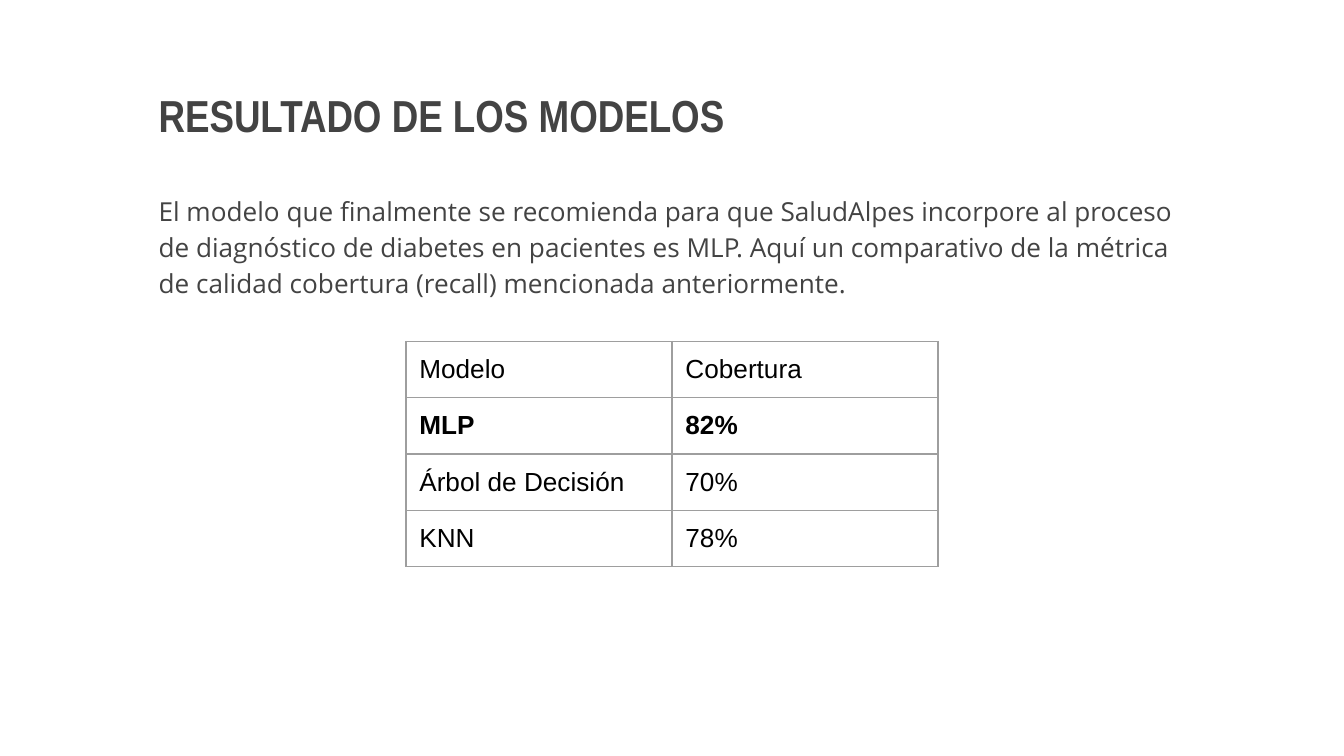
from lxml import etree
from pptx import Presentation
from pptx import util as u
from pptx.dml.color import RGBColor
from pptx.enum import text
from pptx.oxml import ns

WIDTH = 10
HEIGHT = WIDTH * 9 / 16
MARGIN = u.Inches(0.1)
DARK_GRAY = RGBColor(0x43, 0x43, 0x43)
BLACK = RGBColor(0, 0, 0)
BORDER_GRAY = RGBColor(0x9E, 0x9E, 0x9E)

TITLE = "RESULTADO DE LOS MODELOS"
SUMMARY = (
    "El modelo que finalmente se recomienda para que SaludAlpes incorpore al proceso "
    "de diagnóstico de diabetes en pacientes es MLP. Aquí un comparativo de la métrica "
    "de calidad cobertura (recall) mencionada anteriormente."
)
RESULTS = [
    ("Modelo", "Cobertura"),
    ("MLP", "82%"),
    ("Árbol de Decisión", "70%"),
    ("KNN", "78%"),
]
BEST_MODEL = "MLP"


class SlideBuilder:
    """Holds the style and the current slide; lengths are shares of the slide."""

    def __init__(self, deck):
        self.deck = deck
        self.page = deck.slides.add_slide(deck.slide_layouts[1])

    def across(self, share):
        return round(self.deck.slide_width * share)

    def down(self, share):
        return round(self.deck.slide_height * share)

    def style(self, para, font_name, size, color, bold=False):
        para.alignment = text.PP_ALIGN.LEFT
        font = para.font
        font.name, font.size, font.bold = font_name, u.Pt(size), bold
        font.color.rgb = color

    def fill_placeholder(self, box, content, top, height, anchor):
        box.left, box.width = self.across(1.08 / WIDTH), self.across(7.83 / WIDTH)
        box.top, box.height = self.down(top), self.down(height)
        frame = box.text_frame
        frame.text = content
        frame.word_wrap = True
        frame.auto_size = text.MSO_AUTO_SIZE.NONE
        frame.vertical_anchor = anchor
        frame.margin_left = frame.margin_right = MARGIN
        frame.margin_top = frame.margin_bottom = MARGIN
        return frame.paragraphs[0]

    def title(self, content):
        para = self.fill_placeholder(
            self.page.shapes.title, content, 0.59 / HEIGHT, 0.52 / HEIGHT,
            text.MSO_ANCHOR.MIDDLE)
        self.style(para, "Arial Narrow", 24, DARK_GRAY, bold=True)

    def body(self, content):
        para = self.fill_placeholder(
            self.page.placeholders[1], content, 1.32 / HEIGHT, 3.94 / HEIGHT,
            text.MSO_ANCHOR.TOP)
        self.style(para, "Open Sans", 14, DARK_GRAY)
        para.line_spacing = 1.15
        para.space_before = u.Pt(0)
        properties = para._p.get_or_add_pPr()
        properties.set("marL", "0")
        properties.set("indent", "0")
        etree.SubElement(properties, ns.qn("a:buNone"))

    def table(self, rows, left, top, column_width, row_height, bold_key):
        frame = self.page.shapes.add_table(
            len(rows), len(rows[0]), self.across(left), self.down(top),
            self.across(column_width * len(rows[0])), self.down(row_height * len(rows)))
        grid = frame.table
        grid.first_row = grid.horz_banding = False
        for row, values in enumerate(rows):
            for column, value in enumerate(values):
                self.cell(grid.cell(row, column), value, values[0] == bold_key)

    def cell(self, cell, value, bold):
        cell.text = value
        cell.margin_left = cell.margin_right = MARGIN
        cell.margin_top = cell.margin_bottom = MARGIN
        self.style(cell.text_frame.paragraphs[0], "Arial", 14, BLACK, bold)
        self.borders(cell)
        cell.fill.background()

    def borders(self, cell):
        properties = cell._tc.get_or_add_tcPr()
        for side in ("lnL", "lnR", "lnT", "lnB"):
            line = etree.SubElement(properties, ns.qn(f"a:{side}"), w=str(u.Pt(0.75)))
            fill = etree.SubElement(line, ns.qn("a:solidFill"))
            etree.SubElement(fill, ns.qn("a:srgbClr"), val=str(BORDER_GRAY))


def main():
    deck = Presentation()
    deck.slide_width, deck.slide_height = u.Inches(WIDTH), u.Inches(HEIGHT)
    builder = SlideBuilder(deck)
    builder.title(TITLE)
    builder.body(SUMMARY)
    builder.table(RESULTS, left=3.02 / WIDTH, top=2.54 / HEIGHT,
                  column_width=1.98 / WIDTH, row_height=2 / 27,
                  bold_key=BEST_MODEL)
    deck.save("out.pptx")


if __name__ == "__main__":
    main()
